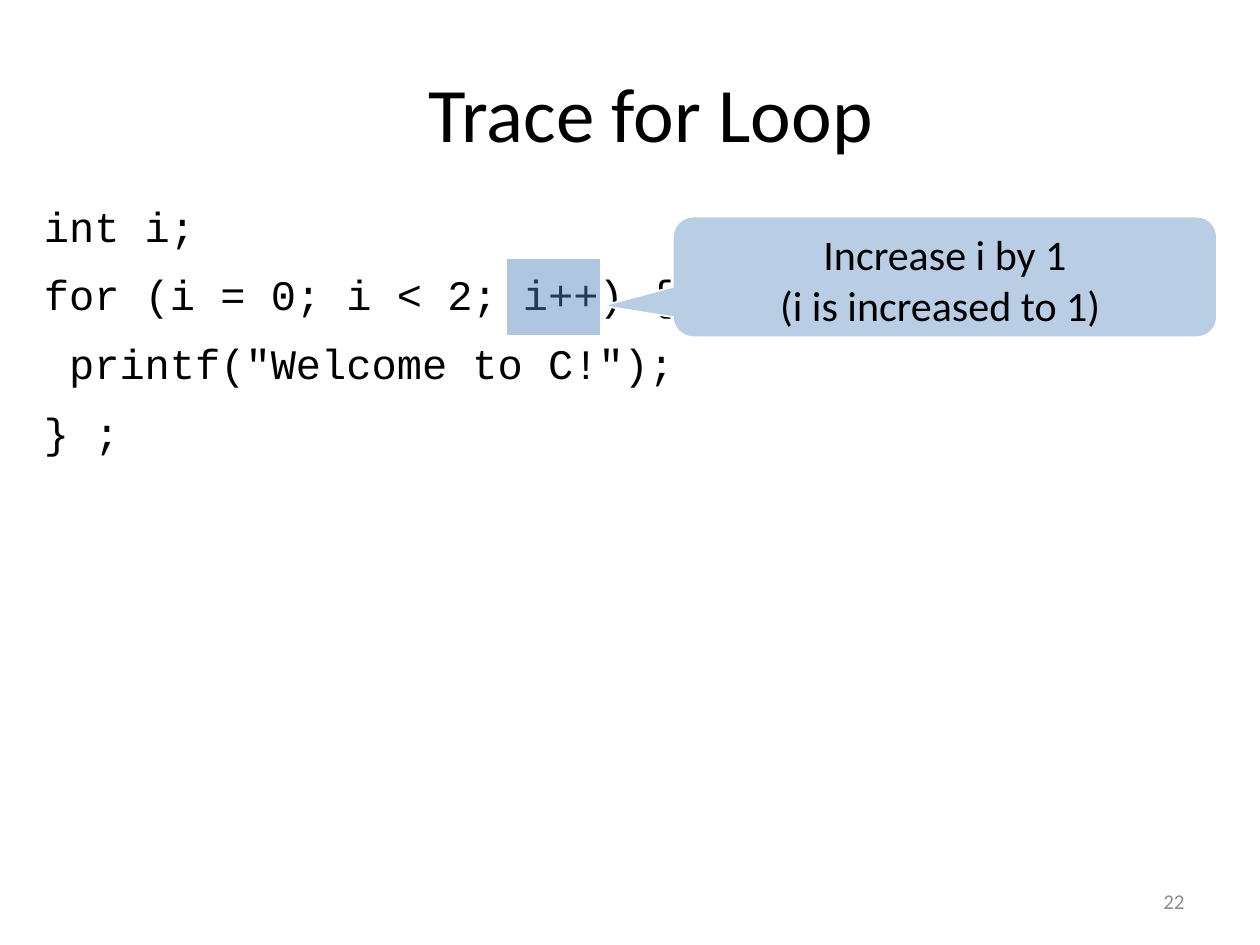
from lxml import etree
from pptx import Presentation
from pptx.dml.color import RGBColor
from pptx.enum.shapes import MSO_SHAPE
from pptx.enum.text import MSO_ANCHOR, PP_ALIGN
from pptx.oxml.ns import qn
from pptx.util import Pt

LEFT, CENTER, RIGHT = PP_ALIGN.LEFT, PP_ALIGN.CENTER, PP_ALIGN.RIGHT
TOP, MIDDLE = MSO_ANCHOR.TOP, MSO_ANCHOR.MIDDLE
RECTANGLE = MSO_SHAPE.RECTANGLE
CALLOUT = MSO_SHAPE.ROUNDED_RECTANGULAR_CALLOUT

BLACK = RGBColor(0x00, 0x00, 0x00)
WHITE = RGBColor(0xFF, 0xFF, 0xFF)
GRAY = RGBColor(0x8C, 0x8C, 0x8C)
BLUE = RGBColor(0x4F, 0x81, 0xBD)
LIGHT_BLUE = RGBColor(0xB9, 0xCD, 0xE5)

presentation = Presentation()
presentation.slide_width, presentation.slide_height = Pt(720), Pt(540)
slide = presentation.slides.add_slide(presentation.slide_layouts[6])


def write_lines(shape, lines, size, align, font="Calibri", color=BLACK, anchor=TOP):
    frame = shape.text_frame
    frame.word_wrap = True
    frame.vertical_anchor = anchor
    for index, line in enumerate(lines):
        paragraph = frame.add_paragraph() if index else frame.paragraphs[0]
        paragraph.alignment = align
        run = paragraph.add_run()
        run.text = line
        run.font.name = font
        run.font.size = Pt(size)
        run.font.color.rgb = color
    return frame.paragraphs


def add_filled_shape(kind, left, top, width, height, color):
    shape = slide.shapes.add_shape(kind, Pt(left), Pt(top), Pt(width), Pt(height))
    shape.shadow.inherit = False
    shape.fill.solid()
    shape.fill.fore_color.rgb = color
    shape.line.color.rgb = WHITE
    shape.line.width = Pt(1)
    return shape


# Slide number
number = slide.shapes.add_textbox(Pt(516), Pt(500.5), Pt(168), Pt(28.75))
write_lines(number, ["22"], 12, RIGHT, color=GRAY, anchor=MIDDLE)

# Title
title = slide.shapes.add_textbox(Pt(48), Pt(34), Pt(648), Pt(90))
write_lines(title, ["Trace for Loop"], 44, CENTER)

# Code listing
code_lines = [
    "int i;",
    "for (i = 0; i < 2; i++) {",
    ' printf("Welcome to C!");',
    "} ;",
]
code = slide.shapes.add_textbox(Pt(18), Pt(114), Pt(420), Pt(156))
for index, paragraph in enumerate(write_lines(code, code_lines, 24, LEFT, "Courier New")):
    paragraph.line_spacing = 0.9
    if index:
        paragraph.space_before = Pt(13.5)

# Translucent highlight over the increment step
highlight = add_filled_shape(RECTANGLE, 289, 147.75, 54.5, 44.25, BLUE)
fill_color = highlight.fill._xPr.find(qn("a:solidFill"))[0]
etree.SubElement(fill_color, qn("a:alpha")).set("val", "45000")

# Callout pointing at the increment step
callout = add_filled_shape(CALLOUT, 384.5, 123.75, 311, 69, LIGHT_BLUE)
for index, value in enumerate([-0.63, 0.24, 0.17]):
    callout.adjustments[index] = value
write_lines(callout, ["Increase i by 1", "(i is increased to 1) "], 24, CENTER)

presentation.save("out.pptx")
